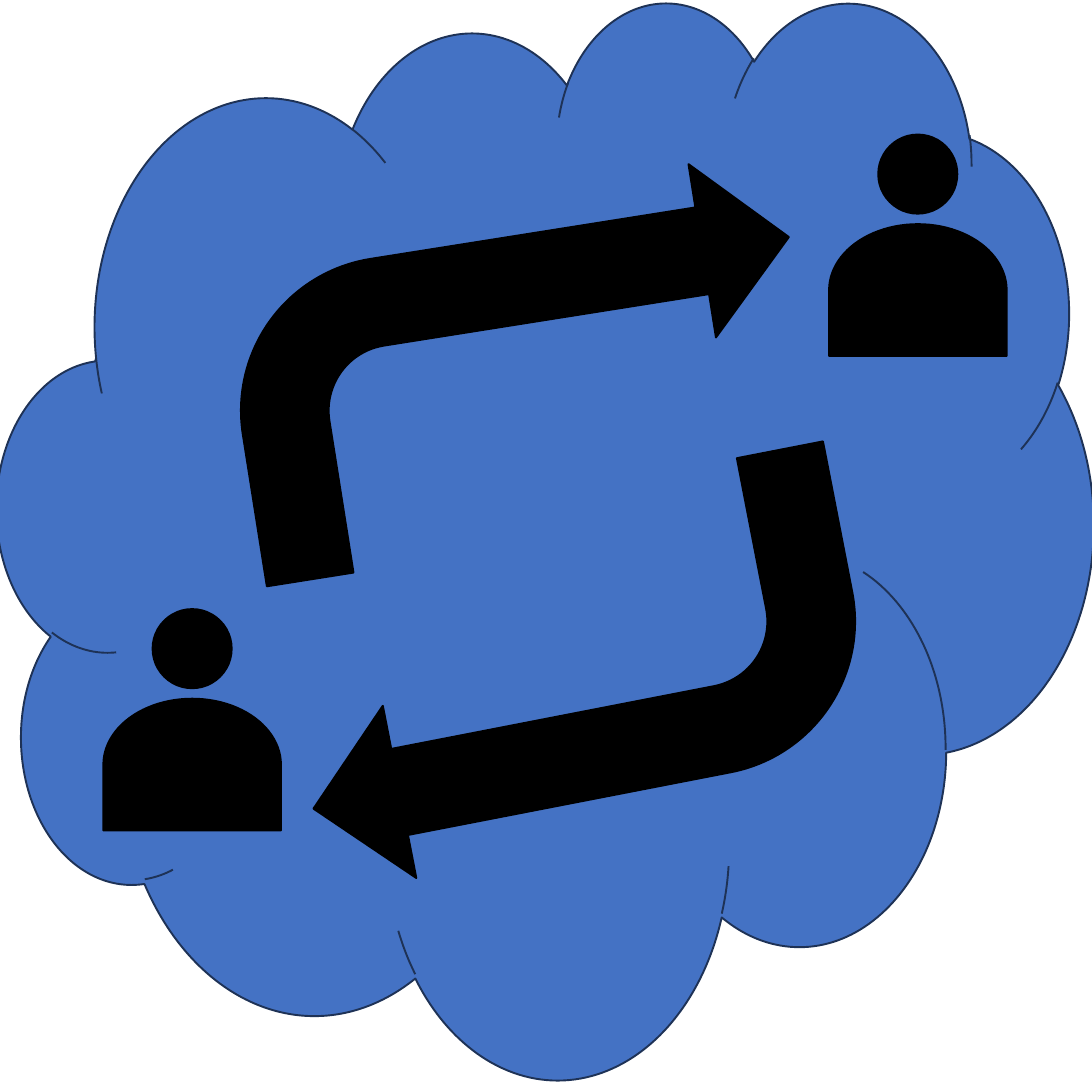
"""Two people exchanging arrows in front of a blue cloud."""
from pptx import Presentation
from pptx.dml.color import RGBColor
from pptx.enum import shapes
from pptx import util as u

PX = u.Inches(1) // 100
THEME = {"cloud": "4472C4", "outline": "1E3256", "ink": "000000", "line": 1}
KIND = shapes.MSO_SHAPE

deck = Presentation()
deck.slide_width = deck.slide_height = 787 * PX
page = deck.slides.add_slide(deck.slide_layouts[6])


def draw(kind, left, top, width, height, rotation=0, fill="ink", line="ink"):
    shape = page.shapes.add_shape(kind, left * PX, top * PX, width * PX, height * PX)
    shape.rotation = rotation
    shape.shadow.inherit = False
    shape.fill.solid()
    shape.fill.fore_color.rgb = RGBColor.from_string(THEME[fill])
    shape.line.color.rgb = RGBColor.from_string(THEME[line])
    shape.line.width = u.Pt(THEME["line"])


draw(KIND.CLOUD, -2, 0, 790, 776, fill="cloud", line="outline")

for left, top in ((91, 487), (614, 145)):
    draw(KIND.FLOWCHART_DELAY, left, top, 95, 128, rotation=270)
    draw(KIND.OVAL, left + 19, top - 48, 57, 57)

for left, top, rotation in ((170, 139, 351), (210, 355, 169)):
    draw(KIND.BENT_ARROW, left, top, 411, 253, rotation)

deck.save("out.pptx")
